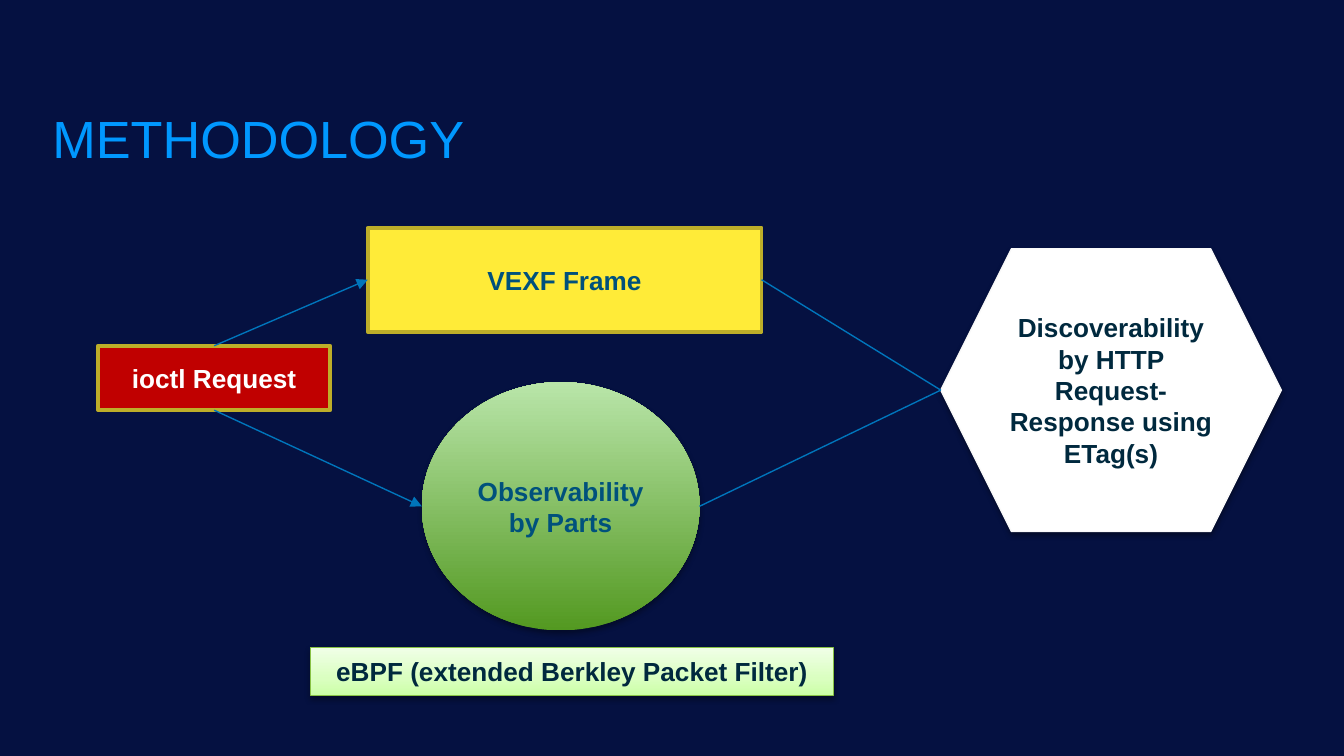
from dataclasses import dataclass

from lxml import etree
from pptx import Presentation
from pptx.dml.color import RGBColor
from pptx.enum.shapes import MSO_CONNECTOR, MSO_SHAPE
from pptx.enum.text import MSO_ANCHOR, PP_ALIGN
from pptx.oxml.ns import qn
from pptx.util import Pt

RECTANGLE = MSO_SHAPE.RECTANGLE
CIRCLE = MSO_SHAPE.FLOWCHART_CONNECTOR
HEXAGON = MSO_SHAPE.HEXAGON
STRAIGHT = MSO_CONNECTOR.STRAIGHT
MIDDLE, BOTTOM = MSO_ANCHOR.MIDDLE, MSO_ANCHOR.BOTTOM
CENTER, LEFT = PP_ALIGN.CENTER, PP_ALIGN.LEFT
TOP_SIDE, LEFT_SIDE, BOTTOM_SIDE, RIGHT_SIDE = range(4)


@dataclass(frozen=True)
class Theme:
    font: str = "Arial"
    title_size: int = 28
    label_size: int = 14
    background: str = "051141"
    title: str = "0098FF"
    blue_text: str = "00517C"
    dark_text: str = "00293E"
    white: str = "FFFFFF"
    yellow: str = "FFEB38"
    red: str = "C00000"
    gold: str = "BDAE29"
    hexagon_edge: str = "F9F9F9"
    filter_edge: str = "88C245"
    arrow: str = "0075BB"
    shadow: str = "000000"
    green_blend: tuple = ((0, "539921"), (100, "B9E5A9"))
    pale_blend: tuple = ((0, "CBFFA6"), (35, "DAFFC0"), (100, "F0FFE7"))


THEME = Theme()


def rgb(color):
    return RGBColor.from_string(color)


def write_text(shape, text, size, color, bold, align, anchor):
    frame = shape.text_frame
    frame.word_wrap = True
    frame.vertical_anchor = anchor
    frame.text = text
    paragraph = frame.paragraphs[0]
    paragraph.alignment = align
    font = paragraph.runs[0].font
    font.name, font.size, font.bold = THEME.font, Pt(size), bold
    font.color.rgb = rgb(color)


def add_color(parent, color):
    return etree.SubElement(parent, qn("a:srgbClr"), val=color)


def blend_upward(shape, blend):
    shape.fill.gradient()
    shape.fill.gradient_angle = 90
    stops = shape.element.spPr.find(".//" + qn("a:gsLst"))
    for stop in list(stops):
        stops.remove(stop)
    for position, color in blend:
        add_color(etree.SubElement(stops, qn("a:gs"), pos=str(position * 1000)), color)


def drop_shadow(shape, opacity, distance):
    effects = shape.element.spPr.find(qn("a:effectLst"))
    shadow = etree.SubElement(
        effects, qn("a:outerShdw"), blurRad=str(Pt(3.1)), dist=str(Pt(distance)),
        dir="5400000", rotWithShape="0")
    etree.SubElement(add_color(shadow, THEME.shadow), qn("a:alpha"),
                     val=str(opacity * 1000))


def add_title(slide, text):
    title = slide.shapes.add_textbox(Pt(21), Pt(21), Pt(339), Pt(77))
    write_text(title, text, THEME.title_size, THEME.title, False, LEFT, BOTTOM)
    title.text_frame.margin_top = title.text_frame.margin_bottom = Pt(7.2)


def add_node(slide, kind, box, text, color, fill, edge=None, edge_width=0.75, shadow=None):
    node = slide.shapes.add_shape(kind, *map(Pt, box))
    node.shadow.inherit = False
    if isinstance(fill, tuple):
        blend_upward(node, fill)
    else:
        node.fill.solid()
        node.fill.fore_color.rgb = rgb(fill)
    if edge:
        node.line.color.rgb = rgb(edge)
        node.line.width = Pt(edge_width)
    else:
        node.line.fill.background()
    if shadow:
        drop_shadow(node, *shadow)
    write_text(node, text, THEME.label_size, color, True, CENTER, MIDDLE)
    return node


def side_point(node, side):
    x = {LEFT_SIDE: 0, RIGHT_SIDE: node.width}.get(side, node.width // 2)
    y = {TOP_SIDE: 0, BOTTOM_SIDE: node.height}.get(side, node.height // 2)
    return node.left + x, node.top + y


def link(slide, source, source_side, target, target_side, arrow=False):
    connector = slide.shapes.add_connector(
        STRAIGHT, *side_point(source, source_side), *side_point(target, target_side))
    if source.auto_shape_type == RECTANGLE:
        connector.begin_connect(source, source_side)
    if target.auto_shape_type == RECTANGLE:
        connector.end_connect(target, target_side)
    connector.line.color.rgb = rgb(THEME.arrow)
    connector.line.width = Pt(0.75)
    if arrow:
        etree.SubElement(connector.line._get_or_add_ln(), qn("a:tailEnd"), type="triangle")
    etree.SubElement(connector.element.spPr, qn("a:effectLst"))


def main():
    deck = Presentation()
    deck.slide_width, deck.slide_height = Pt(720), Pt(405)
    slide = deck.slides.add_slide(deck.slide_layouts[6])
    slide.background.fill.solid()
    slide.background.fill.fore_color.rgb = rgb(THEME.background)

    add_title(slide, "METHODOLOGY")
    frame = add_node(slide, RECTANGLE, (197, 122, 211, 55.75), "VEXF Frame",
                     THEME.blue_text, THEME.yellow, THEME.gold, 2)
    request = add_node(slide, RECTANGLE, (52.5, 185.25, 124.5, 34.5), "ioctl Request",
                       THEME.white, THEME.red, THEME.gold, 2)
    observability = add_node(slide, CIRCLE, (226, 204.75, 148.75, 133),
                             "Observability by Parts", THEME.blue_text,
                             THEME.green_blend, shadow=(35, 1.8))
    discoverability = add_node(slide, HEXAGON, (504, 133.25, 182.5, 151.5),
                               "Discoverability by HTTP Request-Response using ETag(s)",
                               THEME.dark_text, THEME.white, THEME.hexagon_edge,
                               shadow=(38, 1.6))

    link(slide, request, TOP_SIDE, frame, LEFT_SIDE, arrow=True)
    link(slide, request, BOTTOM_SIDE, observability, LEFT_SIDE, arrow=True)
    for step in (frame, observability):
        link(slide, step, RIGHT_SIDE, discoverability, LEFT_SIDE)

    add_node(slide, RECTANGLE, (166.5, 347, 280, 25.5),
             "eBPF (extended Berkley Packet Filter)", THEME.dark_text,
             THEME.pale_blend, THEME.filter_edge, shadow=(38, 1.6))
    deck.save("out.pptx")


if __name__ == "__main__":
    main()
